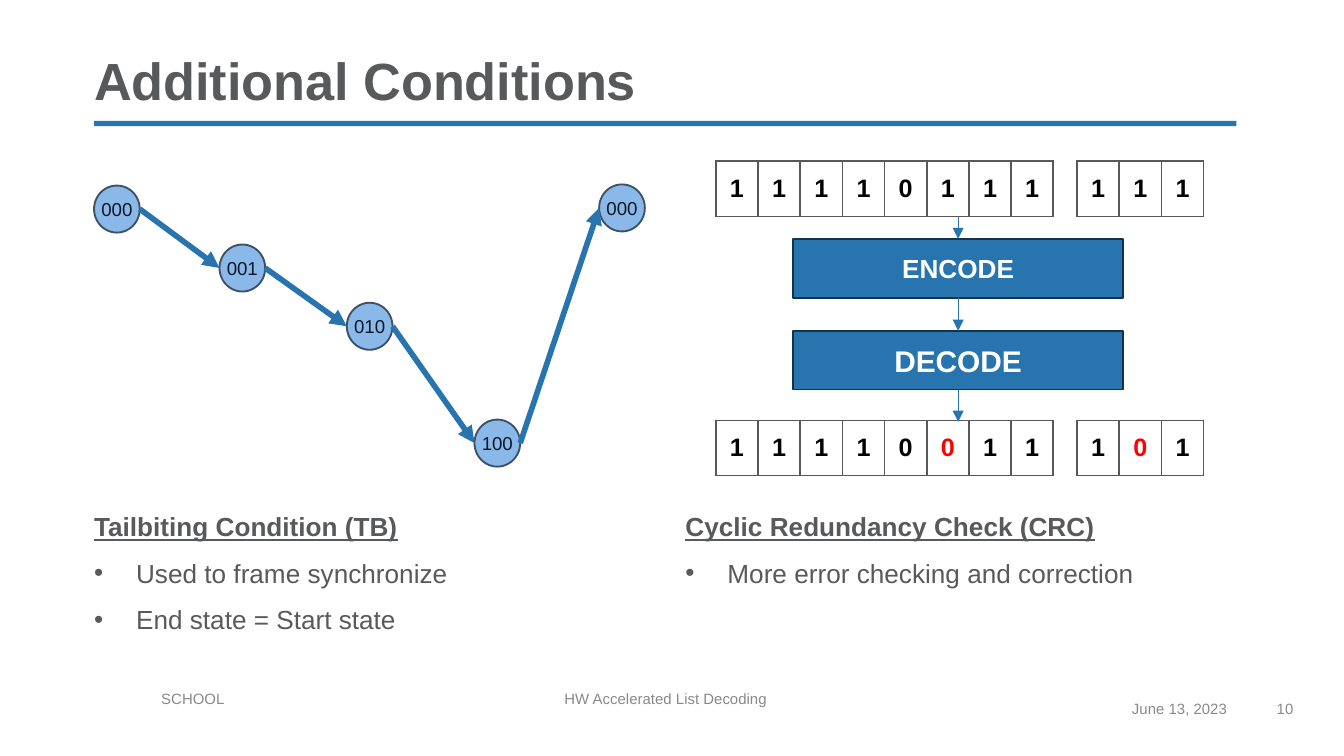
from itertools import pairwise
from lxml.etree import SubElement
from pptx import Presentation
from pptx.dml.color import RGBColor
from pptx.enum.shapes import MSO_CONNECTOR, MSO_SHAPE
from pptx.enum.text import MSO_ANCHOR, MSO_AUTO_SIZE, PP_ALIGN
from pptx.oxml.ns import qn
from pptx.util import Pt

# Content
TITLE = "Additional Conditions"
LISTS = [
    (50.4, 106.5, "Tailbiting Condition (TB)",
     ["Used to frame synchronize", "End state = Start state"]),
    (367.2, 81.5, "Cyclic Redundancy Check (CRC)",
     ["More error checking and correction"]),
]
STATES = [("000", 50.4, 99.4), ("001", 117.6, 131), ("010", 185.8, 162.2),
          ("100", 254.2, 224.8), ("000", 321, 98.8)]
# Bits: left, top, digits, index of the wrong bit
BITS = [(383.5, 86.4, "11110111", None), (577, 86.4, "111", None),
        (383.5, 225.2, "11110011", 5), (577, 225.2, "101", 1)]
STEPS = [("ENCODE", 128, 14), ("DECODE", 177.2, 16)]
FLOW = [(116, 128), (159.4, 177.2), (208.8, 226)]
FOOT = [("SCHOOL", 86.4, 369.4, 208.8, PP_ALIGN.LEFT),
        ("HW Accelerated List Decoding", 302.4, 369.4, 273.6, PP_ALIGN.LEFT),
        ("June 13, 2023", 583.2, 374.6, 74.2, PP_ALIGN.RIGHT),
        ("10", 684, 374.6, 36, PP_ALIGN.LEFT)]

HEX = {"blue": "2774AE", "navy": "11334C", "sky": "8AB8E8", "slate": "3C5166",
       "ink": "0B1624", "text": "58595B", "grid": "57585B", "foot": "898989",
       "white": "FFFFFF", "black": "000000", "red": "FF0000"}
FONT = "Arial"
NODE_W, NODE_H = 24.5, 25.2
STEP_X, STEP_W, STEP_H = 424.8, 177, 31.5
COL_W, ROW_H = 22.6, 29.5


def rgb(name):
    return RGBColor.from_string(HEX[name])


def style(para, size, color, bold=False, line=False):
    for run in para.runs:
        font = run.font
        font.name, font.size, font.bold = FONT, Pt(size), bold
        font.underline = line
        font.color.rgb = rgb(color)


def inset(frame, top=0):
    frame.margin_left = frame.margin_right = frame.margin_bottom = 0
    frame.margin_top = Pt(top)
    frame.auto_size = MSO_AUTO_SIZE.NONE
    frame.word_wrap = True


def place(shape, x, y, w, h):
    shape.left, shape.top, shape.width, shape.height = map(Pt, (x, y, w, h))


def add_box(kind, x, y, w, h, fill, edge=None, text="", size=10, color="ink",
            bold=False):
    box = slide.shapes.add_shape(kind, *map(Pt, (x, y, w, h)))
    box.shadow.inherit = False
    box.fill.solid()
    box.fill.fore_color.rgb = rgb(fill)
    if edge:
        box.line.color.rgb = rgb(edge)
        box.line.width = Pt(1)
    else:
        box.line.fill.background()
    frame = box.text_frame
    inset(frame)
    frame.word_wrap = False
    frame.vertical_anchor = MSO_ANCHOR.MIDDLE
    frame.text = text
    frame.paragraphs[0].alignment = PP_ALIGN.CENTER
    style(frame.paragraphs[0], size, color, bold)


def add_arrow(x1, y1, x2, y2, width):
    arrow = slide.shapes.add_connector(
        MSO_CONNECTOR.STRAIGHT, *map(Pt, (x1, y1, x2, y2)))
    arrow.line.color.rgb = rgb("blue")
    arrow.line.width = Pt(width)
    SubElement(arrow.line._get_or_add_ln(), qn("a:tailEnd"), type="triangle")
    SubElement(arrow._element.spPr, qn("a:effectLst"))


def set_bullet(para, mark):
    props = para._p.get_or_add_pPr()
    step = Pt(22.5) if mark else 0
    props.set("marL", str(step))
    props.set("indent", str(-step))
    if mark:
        SubElement(props, qn("a:buFont"), typeface=FONT)
        SubElement(props, qn("a:buChar"), char=mark)
    else:
        SubElement(props, qn("a:buNone"))


def add_border(cell):
    props = cell._tc.get_or_add_tcPr()
    for spot, side in enumerate(("a:lnL", "a:lnR", "a:lnT", "a:lnB")):
        edge = SubElement(props, qn(side), w=str(Pt(1)))
        fill = SubElement(edge, qn("a:solidFill"))
        SubElement(fill, qn("a:srgbClr"), val=HEX["grid"])
        props.insert(spot, edge)


def add_bits(x, y, digits, wrong):
    count = len(digits)
    table = slide.shapes.add_table(
        1, count, *map(Pt, (x, y, COL_W * count, ROW_H))).table
    table.first_row = table.horz_banding = False
    for i, digit in enumerate(digits):
        table.columns[i].width = Pt(COL_W)
        cell = table.cell(0, i)
        cell.margin_left = cell.margin_right = 0
        cell.vertical_anchor = MSO_ANCHOR.MIDDLE
        cell.fill.solid()
        cell.fill.fore_color.rgb = rgb("white")
        add_border(cell)
        cell.text = digit
        para = cell.text_frame.paragraphs[0]
        para.alignment = PP_ALIGN.CENTER
        style(para, 13.5, "red" if i == wrong else "black", True)
        para.runs[0].font._element.set("spc", "50")


deck = Presentation()
deck.slide_width, deck.slide_height = Pt(720), Pt(405)
slide = deck.slides.add_slide(deck.slide_layouts[3])
title, *bodies = slide.placeholders

# Title and rule
add_box(MSO_SHAPE.RECTANGLE, 50.4, 64.8, 612, 2.9, "blue")
place(title, 50.4, 28.8, 612, 31)
inset(title.text_frame)
title.text_frame.vertical_anchor = MSO_ANCHOR.BOTTOM
title.text_frame.text = TITLE
para = title.text_frame.paragraphs[0]
para.alignment, para.line_spacing = PP_ALIGN.LEFT, 0.9
style(para, 28, "text", True)

# Lists
for body, (x, h, head, items) in zip(bodies, LISTS):
    place(body, x, 259.2, 295.2, h)
    frame = body.text_frame
    inset(frame, 14.4)
    frame.text = "\n".join([head, *items])
    for i, para in enumerate(frame.paragraphs):
        para.space_before = Pt(8)
        set_bullet(para, "•" if i else None)
        style(para, 14, "text", i == 0, i == 0)

# State path
for name, x, y in STATES:
    add_box(MSO_SHAPE.OVAL, x, y, NODE_W, NODE_H, "sky", "slate", name)
for (_, x1, y1), (_, x2, y2) in pairwise(STATES):
    add_arrow(x1 + NODE_W, y1 + NODE_H / 2, x2, y2 + NODE_H / 2, 3)

# Encode and decode flow
for row in BITS:
    add_bits(*row)
for name, y, size in STEPS:
    add_box(MSO_SHAPE.RECTANGLE, STEP_X, y, STEP_W, STEP_H, "blue", "navy",
            name, size, "white", True)
mid = STEP_X + STEP_W / 2
for start, end in FLOW:
    add_arrow(mid, start, mid, end, 0.5)

# Footer
for text, x, y, w, align in FOOT:
    frame = slide.shapes.add_textbox(*map(Pt, (x, y, w, 28.8))).text_frame
    inset(frame)
    frame.text = text
    frame.paragraphs[0].alignment = align
    style(frame.paragraphs[0], 8, "foot")

deck.save("out.pptx")
